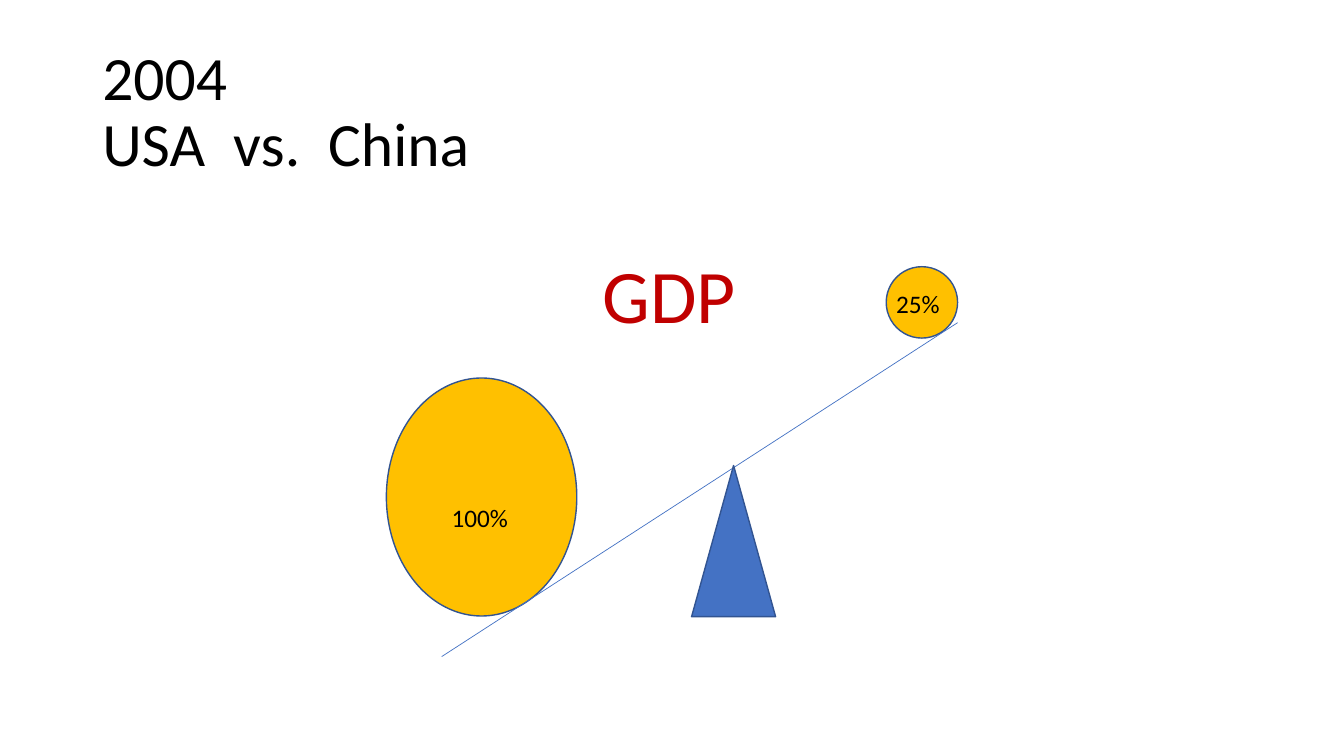
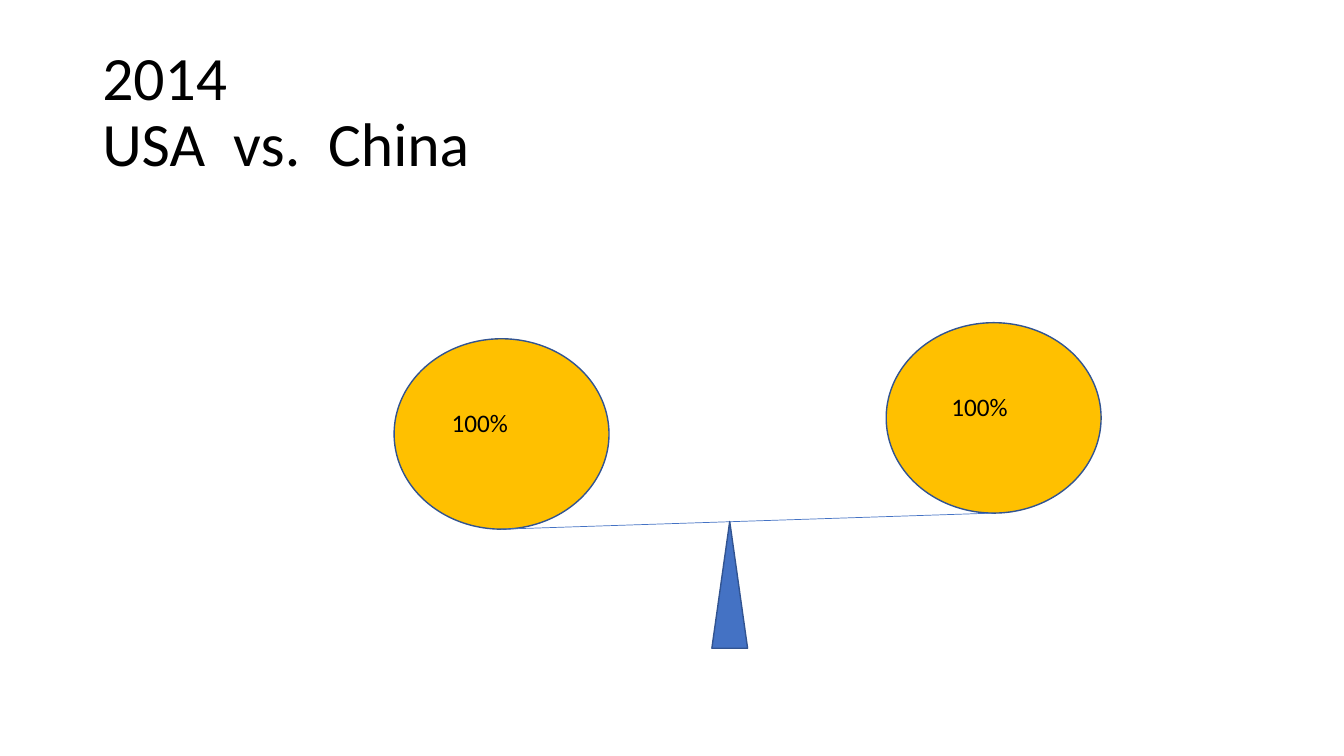
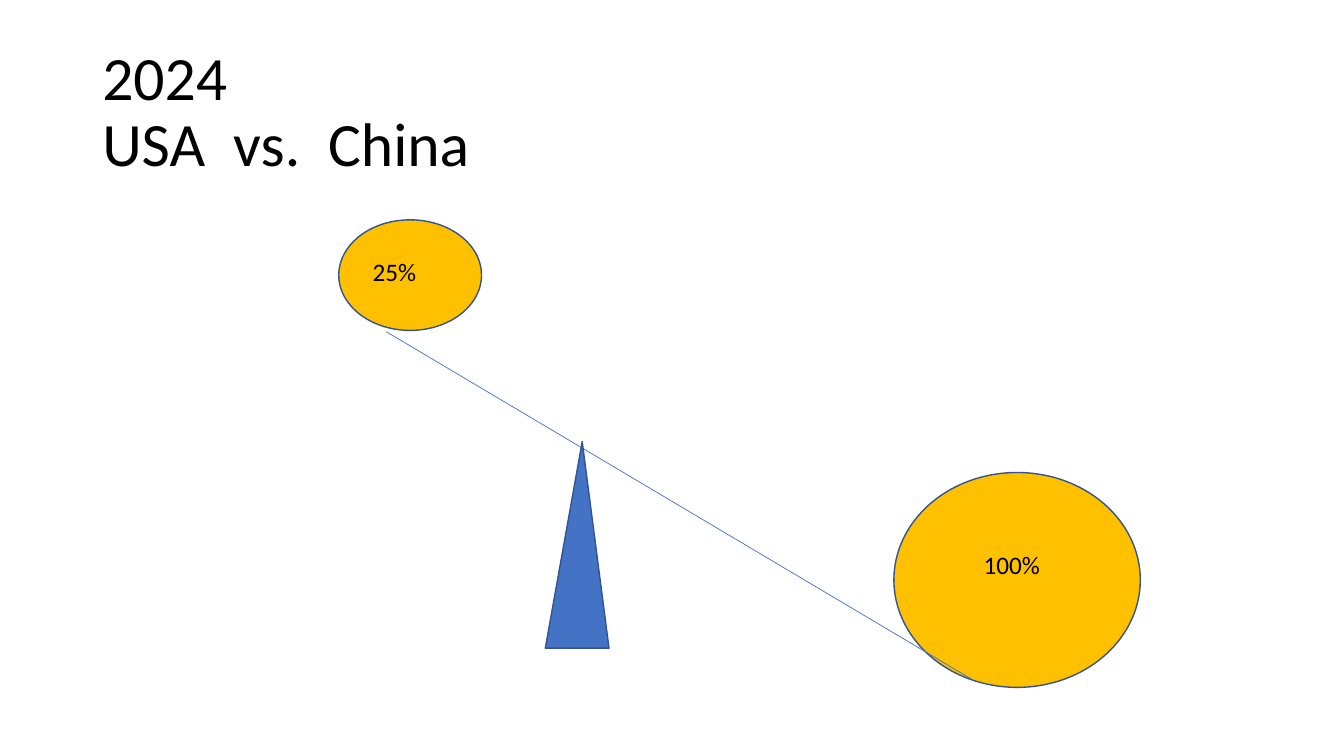
import pptx
import pptx.util
import pptx.dml.color
import pptx.enum.shapes
import pptx.enum.text
import pptx.oxml.ns
import lxml.etree

Pt = pptx.util.Pt
Kind = pptx.enum.shapes.MSO_SHAPE
Text = pptx.enum.text

# Shared look
HUES = {"ink": "000000", "gold": "FFC000", "blue": "4472C4",
        "edge": "325491", "red": "C00000"}
FONT = "Calibri"
TITLE = {"size": 44, "hue": "ink", "space": 0.9,
         "frame": {"vertical_anchor": Text.MSO_ANCHOR.MIDDLE}}
GROW = {"auto_size": Text.MSO_AUTO_SIZE.SHAPE_TO_FIT_TEXT}
LABEL = {"size": 18, "hue": "ink", "space": 1, "frame": GROW}
TOPIC = {"size": 54, "hue": "red", "space": 1, "frame": GROW}

# One scale per year: boxes are left, top, width, height in points
SCALES = [
    {"year": "2004",
     "discs": [(276, 270, 136, 170), (633, 190.5, 51, 51)],
     "beam": (315.5, 469, 684, 230.5),
     "base": (494, 332.5, 60, 108), "tip": 0.5,
     "texts": [("GDP", (423.5, 173.5, 119, 73), TOPIC),
               ("100%", (315.5, 355, 68, 29), LABEL),
               ("25%", (633, 202.5, 51, 29), LABEL)]},
    {"year": "2014",
     "discs": [(281.5, 242, 153.5, 136), (633, 230.5, 153.5, 136)],
     "beam": (358, 378, 710, 366.5),
     "base": (508.5, 372.5, 25.5, 90.5), "tip": 0.5,
     "texts": [("100%", (315.5, 287.5, 91, 29), LABEL),
               ("100%", (672.5, 276, 91, 29), LABEL)]},
    {"year": "2024",
     "discs": [(242, 157, 102, 79), (638.5, 337.5, 176, 153.5)],
     "beam": (276, 237, 695.5, 486),
     "base": (389.5, 315.5, 45.5, 147.5), "tip": 0.58,
     "texts": [("100%", (695.5, 389, 79, 29), LABEL),
               ("25%", (259, 179.5, 62.5, 29), LABEL)]},
]


def tint(name):
    return pptx.dml.color.RGBColor.from_string(HUES[name])


def pts(nums):
    return [Pt(num) for num in nums]


def style(item, props):
    for key, val in props.items():
        setattr(item, key, val)


def stroke(line, hue, width):
    line.color.rgb = tint(hue)
    line.width = Pt(width)


def add_text(slide, words, box, form):
    frame = slide.shapes.add_textbox(*pts(box)).text_frame
    frame.text = words
    style(frame, {"word_wrap": True, **form["frame"]})
    para = frame.paragraphs[0]
    para.line_spacing = form["space"]
    for run in para.runs:
        style(run.font, {"name": FONT, "size": Pt(form["size"])})
        run.font.color.rgb = tint(form["hue"])


def add_form(slide, kind, box, hue):
    shape = slide.shapes.add_shape(kind, *pts(box))
    shape.shadow.inherit = False
    shape.fill.solid()
    shape.fill.fore_color.rgb = tint(hue)
    stroke(shape.line, "edge", 1)
    return shape


def add_beam(slide, ends):
    kind = pptx.enum.shapes.MSO_CONNECTOR.STRAIGHT
    beam = slide.shapes.add_connector(kind, *pts(ends))
    stroke(beam.line, "blue", 0.5)
    # An empty effect list turns the shadow off
    props = beam.element.spPr
    lxml.etree.SubElement(props, pptx.oxml.ns.qn("a:effectLst"))


def add_scale(deck, scale):
    slide = deck.slides.add_slide(deck.slide_layouts[6])
    # Title
    add_text(slide, scale["year"] + "\vUSA  vs.  China",
             (66, 29, 828, 104.5), TITLE)
    # Weights, beam and base
    for box in scale["discs"]:
        add_form(slide, Kind.OVAL, box, "gold")
    add_beam(slide, scale["beam"])
    base = add_form(slide, Kind.ISOSCELES_TRIANGLE, scale["base"], "blue")
    base.adjustments[0] = scale["tip"]
    # Labels
    for words, box, form in scale["texts"]:
        add_text(slide, words, box, form)


def main():
    deck = pptx.Presentation()
    style(deck, {"slide_width": Pt(960), "slide_height": Pt(540)})
    for scale in SCALES:
        add_scale(deck, scale)
    deck.save("out.pptx")


if __name__ == "__main__":
    main()
